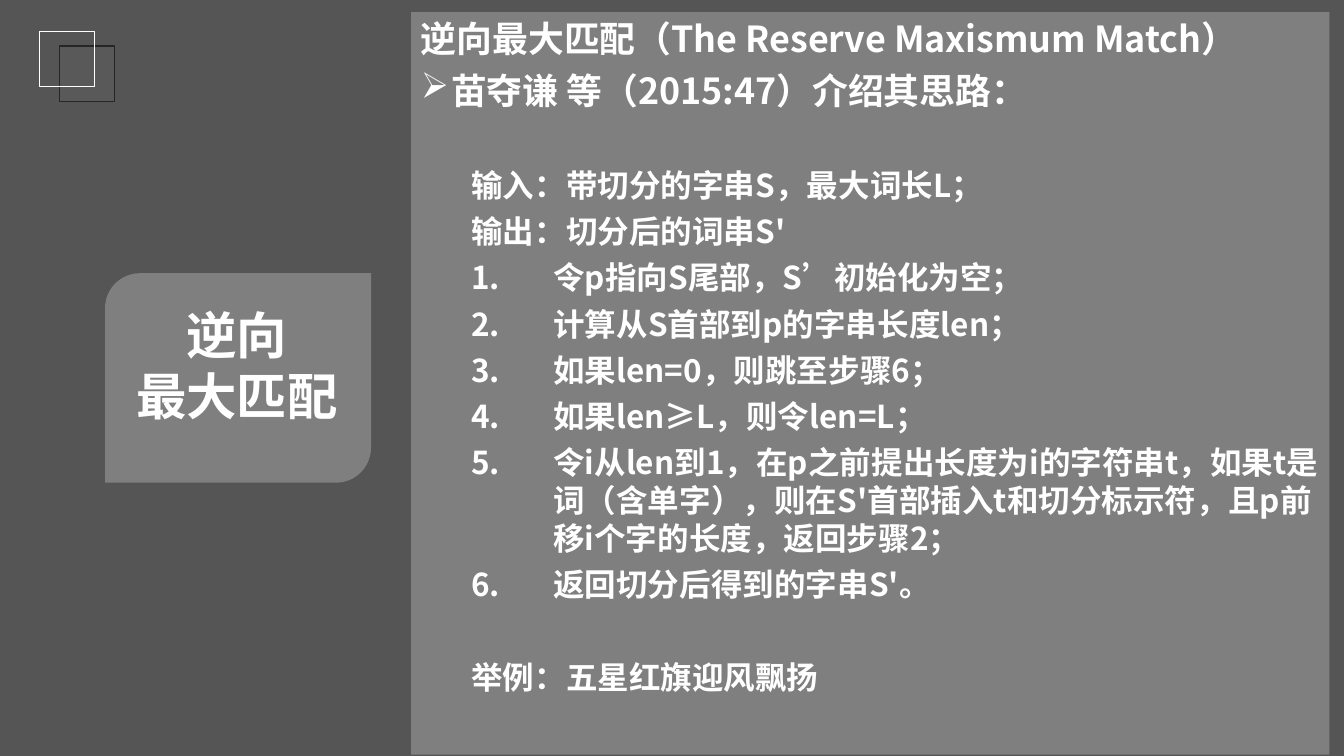
import dataclasses
import typing

import lxml.etree
import pptx
import pptx.dml.color
import pptx.enum.shapes
import pptx.enum.text
import pptx.oxml.ns
import pptx.util

Pt = pptx.util.Pt
RGBColor = pptx.dml.color.RGBColor
ShapeKind = pptx.enum.shapes.MSO_SHAPE
qn = pptx.oxml.ns.qn

WHITE = RGBColor(0xFF, 0xFF, 0xFF)
BACKDROP = RGBColor(0x55, 0x55, 0x55)
SQUARE_FILL = RGBColor(0x59, 0x59, 0x59)
SQUARE_LINE = RGBColor(0x26, 0x26, 0x26)
FONT = "Noto Sans CJK SC"
LINE_FACTOR = 1.2
HEADING_SIZE = 25.6
BODY_SIZE = 22.5
SPACE = 6
SECTION_SPACE = 39


@dataclasses.dataclass(frozen=True)
class Box:
    kind: ShapeKind
    left: float
    top: float
    width: float
    height: float
    fill: typing.Optional[RGBColor] = None
    opacity: int = 100
    line: typing.Optional[RGBColor] = None


@dataclasses.dataclass(frozen=True)
class Style:
    size: float
    level: int = 0
    margin: float = 0
    indent: float = 0
    bullet: str = ""


@dataclasses.dataclass(frozen=True)
class Line:
    text: str
    style: Style
    before: float = SPACE


HEADING = Style(HEADING_SIZE)
SOURCE = Style(HEADING_SIZE, margin=21.6, indent=-21.6, bullet="➢")
PLAIN = Style(BODY_SIZE, level=1, margin=36)
STEP = Style(BODY_SIZE, level=1, margin=94.5, indent=-58.5, bullet="1.")

BOXES = [
    Box(ShapeKind.RECTANGLE, 42.3, 33, 39.6, 39.6, SQUARE_FILL, line=SQUARE_LINE),
    Box(ShapeKind.RECTANGLE, 28.1, 22.3, 39.6, 39.6, line=WHITE),
    Box(ShapeKind.ROUND_2_DIAG_RECTANGLE, 75, 195.2, 190, 149.6, WHITE, 25),
    Box(ShapeKind.RECTANGLE, 293.6, 8.6, 656, 530.5, WHITE, 25),
]

LINES = [
    Line("逆向最大匹配（The Reserve Maxismum Match）", HEADING, 0),
    Line("苗夺谦 等（2015:47）介绍其思路：", SOURCE),
    Line("输入：带切分的字串S，最大词长L；", PLAIN, SECTION_SPACE),
    Line("输出：切分后的词串S'", PLAIN),
    Line("令p指向S尾部，S’初始化为空；", STEP),
    Line("计算从S首部到p的字串长度len；", STEP),
    Line("如果len=0，则跳至步骤6；", STEP),
    Line("如果len≥L，则令len=L；", STEP),
    Line("令i从len到1，在p之前提出长度为i的字符串t，如果t是词（含单字），"
         "则在S'首部插入t和切分标示符，且p前移i个字的长度，返回步骤2；", STEP),
    Line("返回切分后得到的字串S'。", STEP),
    Line("举例：五星红旗迎风飘扬", PLAIN, SECTION_SPACE),
]


def set_attributes(target: typing.Any, values: dict) -> None:
    for name, value in values.items():
        setattr(target, name, value)


def draw_box(slide: typing.Any, box: Box) -> None:
    shape = slide.shapes.add_shape(
        box.kind, Pt(box.left), Pt(box.top), Pt(box.width), Pt(box.height))
    shape.shadow.inherit = False
    if box.fill is None:
        shape.fill.background()
    else:
        shape.fill.solid()
        shape.fill.fore_color.rgb = box.fill
        if box.opacity < 100:
            color = shape.fill._xPr.find(".//" + qn("a:srgbClr"))
            lxml.etree.SubElement(color, qn("a:alpha"), val=str(box.opacity * 1000))
    if box.line is None:
        shape.line.fill.background()
    else:
        shape.line.color.rgb = box.line
        shape.line.width = Pt(1)


def format_paragraph(paragraph: typing.Any, size: float, before: float) -> None:
    set_attributes(paragraph, {
        "line_spacing": Pt(size * LINE_FACTOR), "space_before": Pt(before)})
    for run in paragraph.runs:
        set_attributes(run.font, {"name": FONT, "size": Pt(size), "bold": True})
        run.font.color.rgb = WHITE
        lxml.etree.SubElement(run.font._rPr, qn("a:ea"), typeface=FONT)


def add_bullet(paragraph: typing.Any, style: Style) -> None:
    properties = paragraph._p.get_or_add_pPr()
    properties.set("marL", str(Pt(style.margin)))
    properties.set("indent", str(Pt(style.indent)))
    if style.bullet == "1.":
        lxml.etree.SubElement(properties, qn("a:buAutoNum"), type="arabicPeriod")
    elif style.bullet:
        lxml.etree.SubElement(properties, qn("a:buChar"), char=style.bullet)


def place_title(slide: typing.Any, text: str) -> None:
    title = slide.shapes.title
    set_attributes(title, {"left": Pt(75), "top": Pt(213.8),
                           "width": Pt(188.6), "height": Pt(96)})
    frame = title.text_frame
    frame.text = text
    set_attributes(frame, {
        "word_wrap": True,
        "auto_size": pptx.enum.text.MSO_AUTO_SIZE.NONE,
        "vertical_anchor": pptx.enum.text.MSO_ANCHOR.TOP})
    for paragraph in frame.paragraphs:
        paragraph.alignment = pptx.enum.text.PP_ALIGN.CENTER
        format_paragraph(paragraph, 36, 0)
    # Bring the title in front of its card
    slide.shapes._spTree.append(title._element)


def write_lines(slide: typing.Any, lines: typing.List[Line]) -> None:
    text_box = slide.shapes.add_textbox(Pt(293.6), Pt(8.6), Pt(656), Pt(523.4))
    frame = text_box.text_frame
    frame.word_wrap = True
    for index, line in enumerate(lines):
        paragraph = frame.add_paragraph() if index else frame.paragraphs[0]
        paragraph.level = line.style.level
        add_bullet(paragraph, line.style)
        paragraph.add_run().text = line.text
        format_paragraph(paragraph, line.style.size, line.before)


def main() -> None:
    presentation = pptx.Presentation()
    set_attributes(presentation, {"slide_width": Pt(960), "slide_height": Pt(540)})
    slide = presentation.slides.add_slide(presentation.slide_layouts[5])

    # Backdrop, corner squares, title card and panel
    slide.background.fill.solid()
    slide.background.fill.fore_color.rgb = BACKDROP
    for box in BOXES:
        draw_box(slide, box)

    # Title and algorithm steps
    place_title(slide, "逆向\n最大匹配")
    write_lines(slide, LINES)
    presentation.save("out.pptx")


if __name__ == "__main__":
    main()
